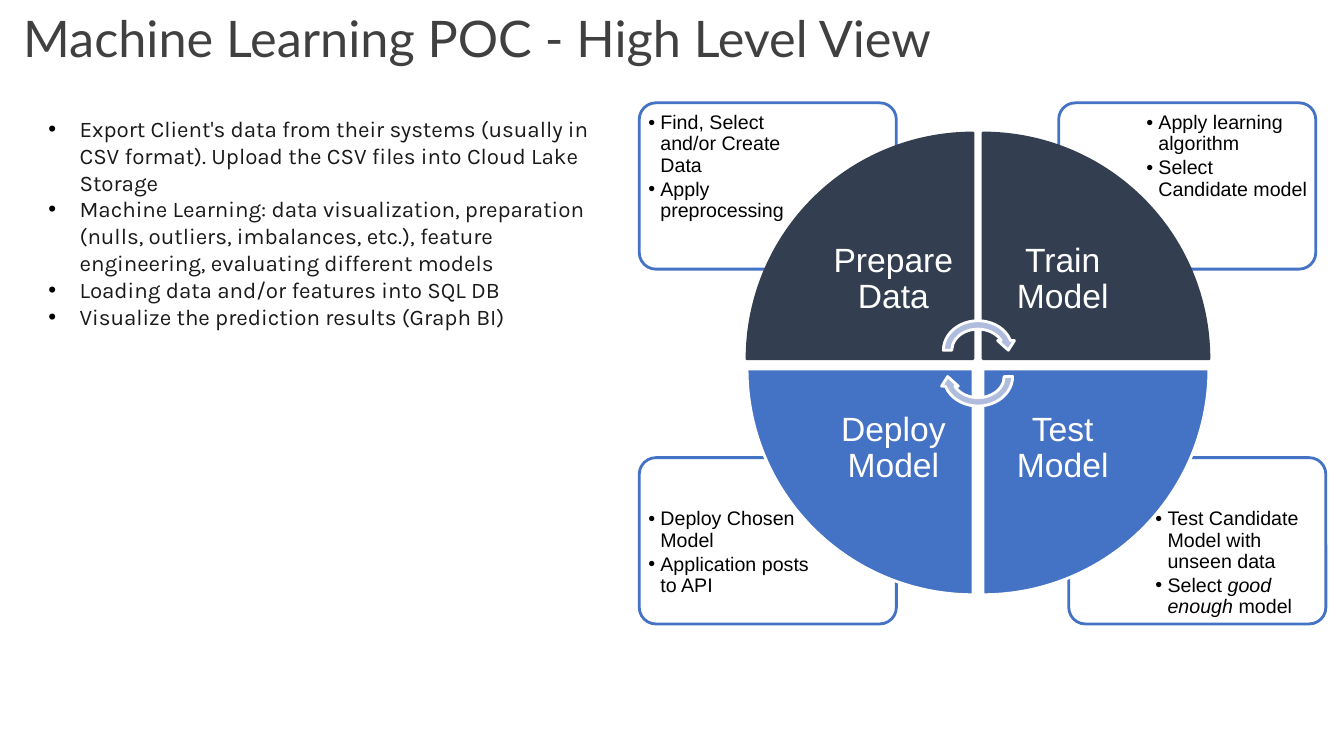
from lxml import etree
from pptx import Presentation
from pptx.dml.color import RGBColor
from pptx.enum.shapes import MSO_SHAPE
from pptx.enum.text import MSO_ANCHOR, MSO_AUTO_SIZE, PP_ALIGN
from pptx.oxml.ns import qn
from pptx.util import Inches, Pt

TITLE = "Machine Learning POC - High Level View"
STEPS = [
    "Export Client's data from their systems (usually in CSV format). "
    "Upload the CSV files into Cloud Lake Storage",
    "Machine Learning: data visualization, preparation (nulls, outliers, "
    "imbalances, etc.), feature engineering, evaluating different models",
    "Loading data and/or features into SQL DB",
    "Visualize the prediction results (Graph BI)",
]
# Clockwise from top left: name, column, row, card left, notes left, notes
# A note is a string, or a list of (text, italic) runs
STAGES = [
    ("Prepare Data", 0, 0, 6.34, 6.37,
     ["Find, Select and/or Create Data", "Apply preprocessing"]),
    ("Train Model", 1, 0, 10.5, 11.31,
     ["Apply learning algorithm", "Select Candidate model"]),
    ("Test Model", 1, 1, 10.6, 11.4,
     ["Test Candidate Model with unseen data",
      [("Select ", False), ("good enough ", True), ("model", False)]]),
    ("Deploy Model", 0, 1, 6.34, 6.37,
     ["Deploy Chosen Model", "Application posts to API"]),
]

COLORS = {"title": "404040", "body": "1A1A1A", "black": "000000", "white": "FFFFFF",
          "navy": "333F50", "blue": "4472C4", "arrow": "B0BCDE"}
TITLE_FONT = {"name": "Lato", "size": Pt(36)}
STEP_FONT = {"name": "Karla", "size": Pt(16)}
NOTE_FONT = {"name": "Arial", "size": Pt(14)}
STAGE_FONT = {"name": "Arial", "size": Pt(24)}

CARD_W, CARD_H, CARD_TOPS = 2.55, 1.65, (1.02, 4.54)
NOTE_W, NOTE_H, NOTE_TOPS = 1.72, 1.17, (1.06, 4.99)
CENTER_X, CENTER_Y, GAP = 9.7, 3.61, 0.1
WEDGE, LABEL = 2.24, 1.58
ARROW_W, ARROW_H, ARROW_TOPS = 0.77, 0.67, (3.14, 3.4)


def rgb(key):
    return RGBColor.from_string(COLORS[key])


def set_frame(tf, inset=0, anchor=MSO_ANCHOR.TOP):
    margins = {f"margin_{side}": Inches(inset) for side in ("left", "right", "top", "bottom")}
    values = {"word_wrap": True, "auto_size": MSO_AUTO_SIZE.NONE, "vertical_anchor": anchor}
    for name, value in {**margins, **values}.items():
        setattr(tf, name, value)


def add_text(s, left, top, width, height, inset=0, anchor=MSO_ANCHOR.TOP):
    tf = s.shapes.add_textbox(*map(Inches, (left, top, width, height))).text_frame
    set_frame(tf, inset, anchor)
    return tf


def add_run(p, text, font, color, italic=None):
    r = p.add_run()
    r.text = text
    for name, value in {**font, "italic": italic}.items():
        setattr(r.font, name, value)
    r.font.color.rgb = rgb(color)


def add_bullets(tf, items, font, color, indent, **spacing):
    for i, item in enumerate(items):
        p = tf.paragraphs[0] if i == 0 else tf.add_paragraph()
        for name, value in spacing.items():
            setattr(p, name, value)
        pPr = p._p.get_or_add_pPr()
        pPr.set("marL", str(Inches(indent)))
        pPr.set("indent", str(-Inches(indent)))
        bullet_color = etree.SubElement(pPr, qn("a:buClr"))
        etree.SubElement(bullet_color, qn("a:srgbClr"), val=COLORS["black"])
        etree.SubElement(pPr, qn("a:buFont"), typeface="Arial")
        etree.SubElement(pPr, qn("a:buChar"), char="•")
        runs = [(item, None)] if isinstance(item, str) else item
        for text, italic in runs:
            add_run(p, text, font, color, italic)


def add_shape(s, kind, left, top, width, height, fill, line, rotation=0):
    sp = s.shapes.add_shape(kind, *map(Inches, (left, top, width, height)))
    sp.shadow.inherit = False
    sp.fill.solid()
    sp.fill.fore_color.rgb = rgb(fill)
    sp.line.color.rgb = rgb(line)
    sp.line.width = Pt(2)
    sp.rotation = rotation
    return sp


def near_center(center, side, size):
    """Start of a part that touches the central gap, before (0) or after (1) it."""
    return center + GAP / 2 if side else center - GAP / 2 - size


def main():
    prs = Presentation()
    prs.slide_width, prs.slide_height = Inches(13.33), Inches(7.5)
    s = prs.slides.add_slide(prs.slide_layouts[5])

    title = s.shapes.title
    box = {"left": 0.23, "top": 0.14, "width": 9.51, "height": 0.69}
    for name, value in box.items():
        setattr(title, name, Inches(value))
    set_frame(title.text_frame)
    p = title.text_frame.paragraphs[0]
    p.alignment, p.line_spacing = PP_ALIGN.LEFT, 0.9
    add_run(p, TITLE, TITLE_FONT, "title")

    add_bullets(add_text(s, 0.48, 1.14, 5.53, 2.15), STEPS, STEP_FONT, "body", 0.31)

    for name, col, row, card_left, note_left, notes in STAGES:
        card = add_shape(s, MSO_SHAPE.ROUNDED_RECTANGLE, card_left, CARD_TOPS[row],
                         CARD_W, CARD_H, "white", "blue")
        card.adjustments[0] = 0.1
        tf = add_text(s, note_left, NOTE_TOPS[row], NOTE_W, NOTE_H, 0.06)
        add_bullets(tf, notes, NOTE_FONT, "black", 0.12, line_spacing=0.9, space_after=Pt(2))

    for i, (name, col, row, *card) in enumerate(STAGES):
        fill, line = ("blue", "white") if row else ("navy", "navy")
        add_shape(s, MSO_SHAPE.PIE_WEDGE, near_center(CENTER_X, col, WEDGE),
                  near_center(CENTER_Y, row, WEDGE), WEDGE, WEDGE, fill, line, 90 * i)
        tf = add_text(s, near_center(CENTER_X, col, LABEL), near_center(CENTER_Y, row, LABEL),
                      LABEL, LABEL, 0.19, MSO_ANCHOR.MIDDLE)
        p = tf.paragraphs[0]
        p.alignment, p.line_spacing = PP_ALIGN.CENTER, 0.9
        add_run(p, name, STAGE_FONT, "white")

    for i, top in enumerate(ARROW_TOPS):
        add_shape(s, MSO_SHAPE.CIRCULAR_ARROW, CENTER_X - ARROW_W / 2, top,
                  ARROW_W, ARROW_H, "arrow", "white", 180 * i)

    prs.save("out.pptx")


if __name__ == "__main__":
    main()
